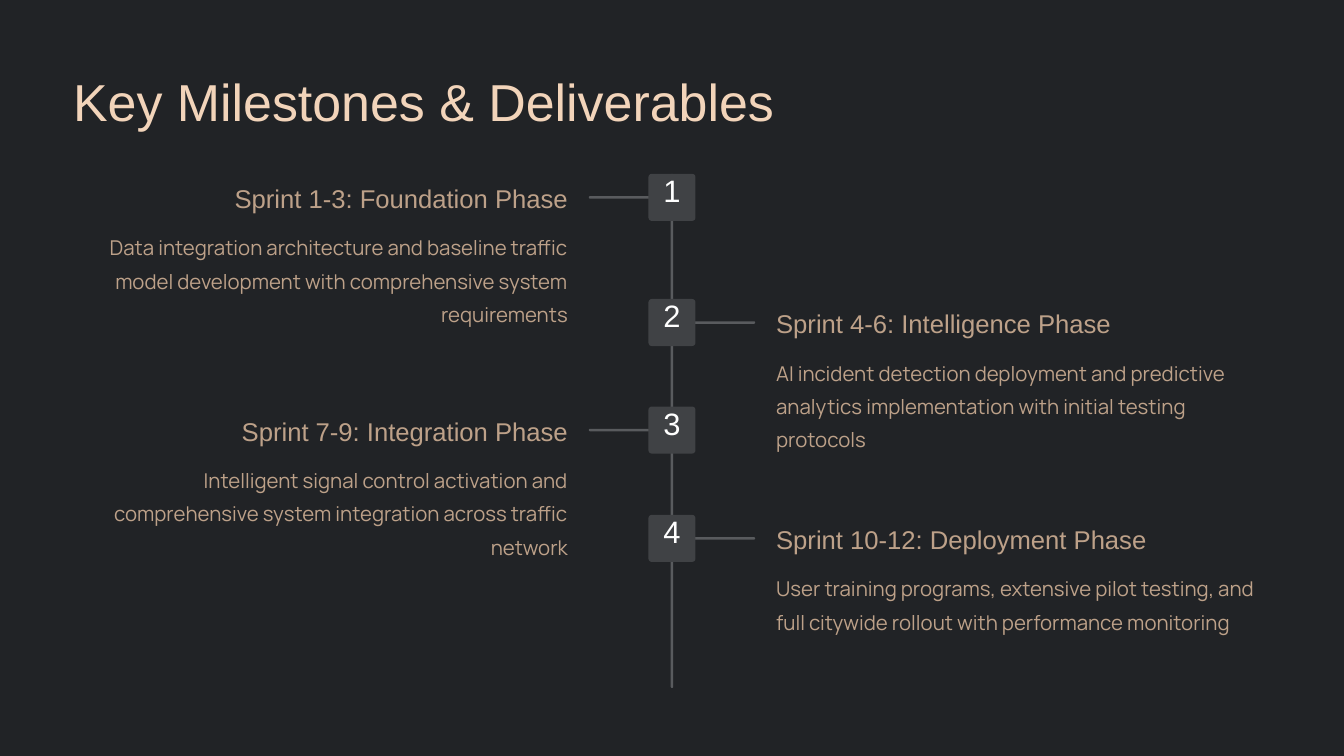
from pptx import Presentation
from pptx.dml.color import RGBColor
from pptx.enum.shapes import MSO_SHAPE as Shape
from pptx.enum.text import PP_ALIGN as Align
from pptx.util import Inches, Pt

# Content: top of the marker, heading, description, height of the description
TITLE = "Key Milestones & Deliverables"
MILESTONES = [
    (2.07, "Sprint 1-3: Foundation Phase",
     "Data integration architecture and baseline traffic model development "
     "with comprehensive system requirements", 1.19),
    (3.56, "Sprint 4-6: Intelligence Phase",
     "AI incident detection deployment and predictive analytics "
     "implementation with initial testing protocols", 1.19),
    (4.84, "Sprint 7-9: Integration Phase",
     "Intelligent signal control activation and comprehensive system "
     "integration across traffic network", 1.19),
    (6.13, "Sprint 10-12: Deployment Phase",
     "User training programs, extensive pilot testing, and full citywide "
     "rollout with performance monitoring", 0.79),
]

# Style and layout
BACKGROUND, LINE, MARKER = "212326", "595B5E", "404245"
CREAM, TAN, WHITE = "F2D4BA", "BDA189", "FFFFFF"
WIDTH, HEIGHT = 16, 9
MARGIN, TEXT_WIDTH = 0.87, 5.89
MARKER_SIZE, NUMBER_WIDTH = 0.56, 0.37
BRANCH, THICKNESS = 0.74, 0.03
CENTER = WIDTH / 2

presentation = Presentation()
presentation.slide_width = Inches(WIDTH)
presentation.slide_height = Inches(HEIGHT)
slide = presentation.slides.add_slide(presentation.slide_layouts[6])


def paint(fill, color):
    fill.solid()
    fill.fore_color.rgb = RGBColor.from_string(color)


def add_bar(left, top, width, height, color, rounding=0.5):
    shape = slide.shapes.add_shape(
        Shape.ROUNDED_RECTANGLE,
        Inches(left), Inches(top), Inches(width), Inches(height))
    shape.adjustments[0] = rounding
    shape.shadow.inherit = False
    paint(shape.fill, color)
    shape.line.fill.background()


def add_text(text, left, top, width, height, *, size, spacing,
             color=TAN, font="Arial", align=Align.LEFT):
    box = slide.shapes.add_textbox(
        Inches(left), Inches(top), Inches(width), Inches(height))
    frame = box.text_frame
    frame.word_wrap = True
    frame.margin_left = frame.margin_right = 0
    frame.margin_top = frame.margin_bottom = 0
    paragraph = frame.paragraphs[0]
    paragraph.text = text
    paragraph.alignment = align
    paragraph.line_spacing = Pt(spacing)
    paragraph.font.size = Pt(size)
    paragraph.font.name = font
    paint(paragraph.font.fill, color)


# Background, title and timeline spine
paint(slide.background.fill, BACKGROUND)
add_text(TITLE, MARGIN, 0.8, 9.04, 0.78, size=44.5, spacing=55.5, color=CREAM)
add_bar(CENTER - THICKNESS / 2, 2.07, THICKNESS, 6.12, LINE)

# Milestones alternate between the left and right side
for index, (top, heading, description, height) in enumerate(MILESTONES):
    if index % 2 == 0:
        branch_left, text_left, align = 7.01, MARGIN, Align.RIGHT
    else:
        branch_left, align = WIDTH - 7.01 - BRANCH, Align.LEFT
        text_left = WIDTH - MARGIN - TEXT_WIDTH
    add_bar(branch_left, top + 0.265, BRANCH, THICKNESS, LINE)
    add_bar(CENTER - MARKER_SIZE / 2, top, MARKER_SIZE, MARKER_SIZE,
            MARKER, rounding=0.07)
    add_text(str(index + 1), CENTER - NUMBER_WIDTH / 2, top + 0.05,
             NUMBER_WIDTH, 0.47, size=26.5, spacing=26.5, color=WHITE,
             align=Align.CENTER)
    add_text(heading, text_left, top + 0.09, TEXT_WIDTH, 0.39,
             size=22, spacing=27.5, align=align)
    add_text(description, text_left, top + 0.63, TEXT_WIDTH, height,
             size=17.5, spacing=28.5, font="Manrope", align=align)

presentation.save("out.pptx")
